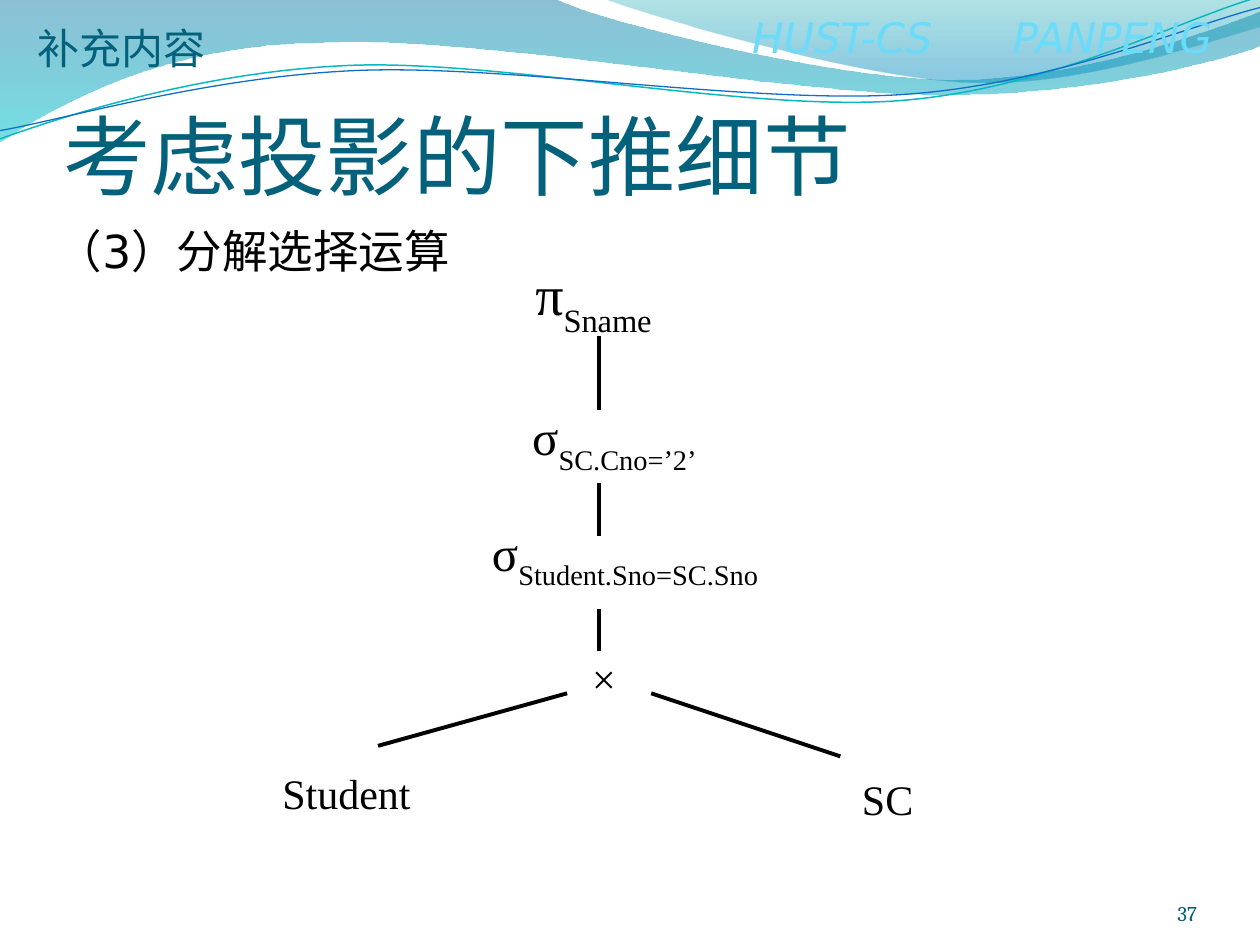
from dataclasses import dataclass

from lxml.etree import SubElement
from pptx import Presentation
from pptx.dml.color import RGBColor
from pptx.enum.shapes import MSO_CONNECTOR as Connector
from pptx.enum.text import MSO_ANCHOR as Anchor, MSO_AUTO_SIZE as AutoSize, PP_ALIGN as Align
from pptx.oxml.ns import qn
from pptx.util import Inches, Pt

COLORS = {
    "text": "000000", "title": "04617B", "number": "045D75", "author": "6BDBFA",
    "deep": "0074A1", "cyan": "00C6CF", "teal": "00A1A9", "blue": "008BBF",
    "teal_line": "0AB8BF", "blue_line": "0F6FC6",
}
SERIF = "Times New Roman"

BANDS = [
    ([("M", 0, -0.01), ("L", 4.4, -0.01),
      ("C", 4.76, 0.17, 6.64, 0.63, 7.58, 0.63), ("C", 8.53, 0.63, 9.58, 0.26, 10, 0.09),
      ("L", 10.01, 0.36), ("C", 9.83, 0.44, 8.7, 0.76, 7.46, 0.75),
      ("C", 6.22, 0.75, 3.82, 0.28, 2.57, 0.34), ("C", 1.29, 0.35, 0.46, 0.83, -0.01, 1.13)],
     [(0, "deep", 45), (1, "cyan", 55)]),
    ([("M", 4.79, -0.01), ("C", 5.09, 0.11, 6.82, 0.62, 7.69, 0.65),
      ("C", 8.56, 0.69, 9.61, 0.32, 10, 0.21), ("L", 10, 0)],
     [(0, "teal", 30), (0.8, "blue", 45)]),
]
WAVES = [
    ([("M", -0.02, 1.11), ("C", 0.48, 0.93, 1.58, 0.57, 2.77, 0.52),
      ("C", 3.95, 0.47, 5.93, 0.89, 7.13, 0.8), ("C", 8.33, 0.71, 9.38, 0.15, 9.98, -0.02)],
     "teal_line", 0.85),
    ([("M", -0.02, 1.04), ("C", 0.47, 0.96, 1.64, 0.61, 2.83, 0.56),
      ("C", 4.03, 0.51, 5.97, 0.83, 7.17, 0.75), ("C", 8.36, 0.67, 9.41, 0.21, 10, 0.06)],
     "blue_line", 0.75),
]
NODES = [
    ((21, 0, 18, 9), "π", "Sname", 32),
    ((18, 15, 28, 6), "σ", "SC.Cno=’2’", 28),
    ((16, 25, 34, 8), "σ", "Student.Sno=SC.Sno", 28),
    ((25, 37, 12, 7), "× ", "", 24),
    ((0, 48, 12, 7), "Student", "", 24),
    ((50, 48, 15, 8), "SC", "", 24),
]
EDGES = [
    (30, 8, 30, 15), (30, 22, 30, 27), (30, 34, 30, 38),
    (27, 42, 9, 47), (35, 42, 53, 48),
]


@dataclass
class Region:
    left: float
    top: float
    width: float
    height: float
    columns: float
    rows: float

    def point(self, column, row):
        return (Inches(self.left + column * self.width / self.columns),
                Inches(self.top + row * self.height / self.rows))

    def area(self, column, row, columns, rows):
        return (*self.point(column, row), Inches(columns * self.width / self.columns),
                Inches(rows * self.height / self.rows))


def color(name):
    return RGBColor.from_string(COLORS[name])


def add_span(para, text, size, font, tint, baseline=0):
    span = para.add_run()
    span.text = text
    span.font.size = Pt(size)
    span.font.name = font
    span.font.color.rgb = color(tint)
    if baseline:
        span._r.get_or_add_rPr().set("baseline", str(baseline * 1000))
    return span


def set_frame(box, anchor=Anchor.TOP, insets=(0.1, 0.05, 0.1, 0.05), wrap=True):
    frame = box.text_frame
    frame.auto_size = AutoSize.NONE
    frame.word_wrap = wrap
    frame.vertical_anchor = anchor
    (frame.margin_left, frame.margin_top,
     frame.margin_right, frame.margin_bottom) = map(Inches, insets)
    return frame.paragraphs[0]


def place(box, area):
    box.left, box.top, box.width, box.height = area


def bend_segments(shape, outline):
    segments = iter(list(shape._element.iter(qn("a:lnTo"))))
    for kind, *values in outline[1:]:
        curve = next(segments)
        if kind == "C":
            curve.tag = qn("a:cubicBezTo")
            for segment in (next(segments), next(segments)):
                curve.append(segment[0])
                segment.getparent().remove(segment)


def add_outline(page, region, outline, closed):
    start, *others = [region.point(x, y) for kind, *values in outline
                      for x, y in zip(values[::2], values[1::2])]
    builder = page.shapes.build_freeform(*start)
    builder.add_line_segments(others, close=closed)
    shape = builder.convert_to_shape()
    bend_segments(shape, outline)
    shape.shadow.inherit = False
    return shape


def add_header(page, region):
    for outline, stops in BANDS:
        band = add_outline(page, region, outline, True)
        band.line.fill.background()
        band.fill.gradient()
        band.fill.gradient_angle = 270
        for stop, (position, tint, opacity) in zip(band.fill.gradient_stops, stops):
            stop.position = position
            stop.color.rgb = color(tint)
            value = stop._gs.find(qn("a:srgbClr"))
            SubElement(value, qn("a:alpha")).set("val", str(opacity * 1000))
    for outline, tint, width in WAVES:
        wave = add_outline(page, region, outline, False)
        wave.fill.background()
        wave.line.color.rgb = color(tint)
        wave.line.width = Pt(width)

    author = page.shapes.add_textbox(*region.area(5.87, 0.04, 4.05, 0.5))
    para = set_frame(author)
    tabs = SubElement(para._p.get_or_add_pPr(), qn("a:tabLst"))
    tab = SubElement(tabs, qn("a:tab"))
    tab.set("pos", str(Inches(2.07)))
    tab.set("algn", "l")
    add_span(para, "HUST-CS\tPANPENG", 24, "DejaVu Sans", "author").font.italic = True

    label = page.shapes.add_textbox(*region.area(0.2, 0.13, 1.55, 0.5))
    add_span(set_frame(label, wrap=False), "补充内容", 24, "Noto Sans CJK SC", "title")


def add_headings(page, region):
    title, body = page.placeholders
    place(title, region.area(0.5, 0.77, 9, 0.87))
    para = set_frame(title, Anchor.BOTTOM, (0, 0.05, 0, 0))
    para.alignment = Align.LEFT
    add_span(para, "考虑投影的下推细节", 50, "Calibri", "title")

    place(body, region.area(0.35, 1.72, 9, 0.53))
    para = set_frame(body)
    properties = para._p.get_or_add_pPr()
    properties.set("marL", "0")
    properties.set("indent", "0")
    SubElement(properties, qn("a:buNone"))
    para.space_before = Pt(0)
    add_span(para, "（3）分解选择运算", 26, "DejaVu Sans", "text")
    for holder in (title, body):
        page.shapes._spTree.append(holder._element)


def add_tree(page, region):
    for cells, symbol, subscript, size in NODES:
        node = page.shapes.add_textbox(*region.area(*cells))
        para = set_frame(node, Anchor.MIDDLE, wrap=False)
        para.alignment = Align.CENTER
        add_span(para, symbol, size, SERIF, "text")
        if subscript:
            add_span(para, subscript, size, SERIF, "text", -30)
            add_span(para, " ", 24, SERIF, "text")
    for x1, y1, x2, y2 in EDGES:
        edge = page.shapes.add_connector(
            Connector.STRAIGHT, *region.point(x1, y1), *region.point(x2, y2))
        edge.line.color.rgb = color("text")
        edge.line.width = Pt(2.25)
        SubElement(edge._element.spPr, qn("a:effectLst"))


def add_number(page, region):
    number = page.shapes.add_textbox(*region.area(0, 0, 1, 1))
    para = set_frame(number, Anchor.BOTTOM, (0, 0, 0, 0))
    para.alignment = Align.RIGHT
    add_span(para, "37", 12, "Cambria", "number")


def main():
    deck = Presentation()
    deck.slide_width, deck.slide_height = Inches(10), Inches(7.5)
    page = deck.slides.add_slide(deck.slide_layouts[1])
    add_header(page, Region(0, 0, 10, 1.2, 10, 1.2))
    add_headings(page, Region(0, 0, 10, 2.4, 10, 2.4))
    add_number(page, Region(8.67, 6.95, 0.83, 0.4, 1, 1))
    add_tree(page, Region(2.25, 2, 5.42, 4.67, 65, 56))
    deck.save("out.pptx")


if __name__ == "__main__":
    main()
